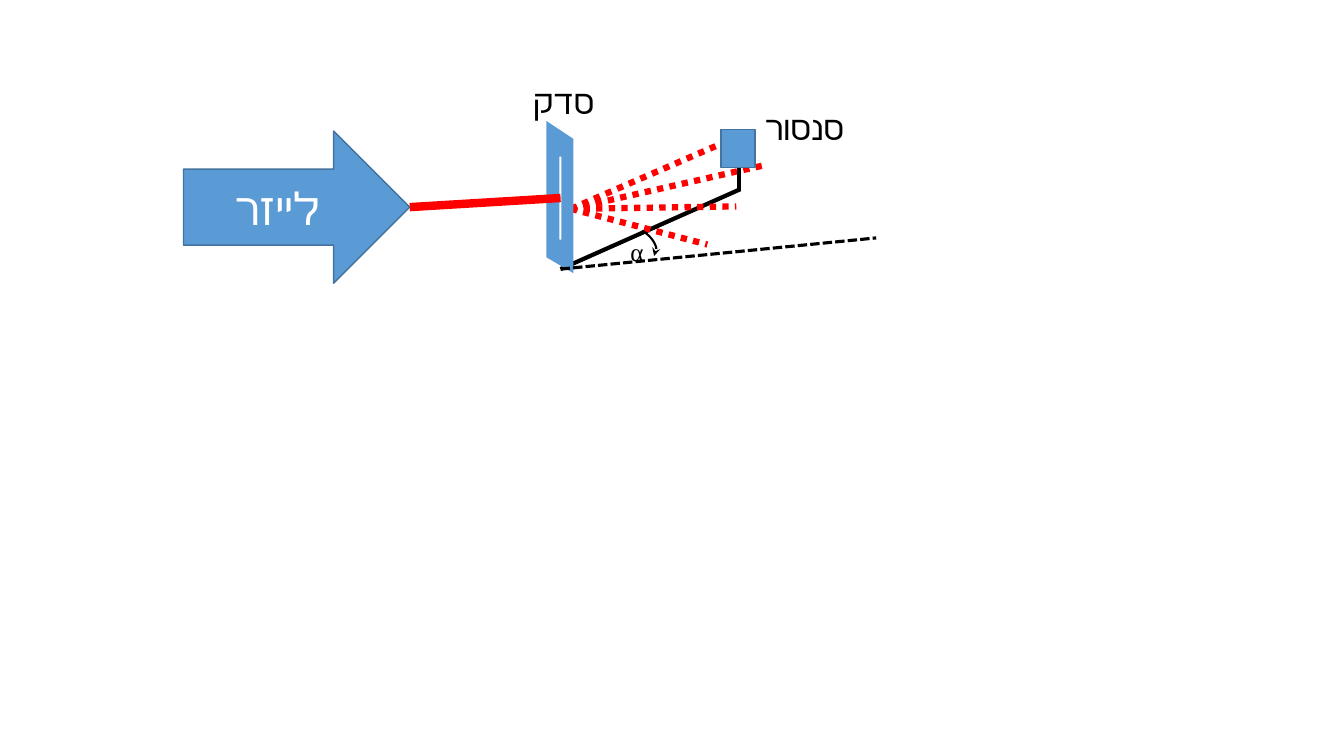
from dataclasses import dataclass
from lxml import etree
from pptx import Presentation, util as u
from pptx.dml.color import RGBColor
from pptx.enum import dml, shapes, text
from pptx.oxml.ns import qn

CELL = u.Inches(0.1)


@dataclass(frozen=True)
class Theme:
    """Colours, fonts and sizes of the slide."""
    blue: str = "5B9BD5"
    edge: str = "43739E"
    red: str = "FF0000"
    black: str = "000000"
    white: str = "FFFFFF"
    font: str = "Calibri"
    symbol_font: str = "Times New Roman"
    title: int = 32
    label: int = 24
    symbol: int = 18
    beam: float = 6
    ray: float = 4.5
    arm: float = 3
    axis: float = 2.25
    arc: float = 1.5
    outline: float = 1


T = Theme()


@dataclass(frozen=True)
class Box:
    """A region measured in columns and rows of the slide grid."""
    x: float
    y: float
    w: float
    h: float

    def pt(self, fx, fy):
        """Return the point at the given shares of the box."""
        return (u.Emu(round((self.x + fx * self.w) * CELL)),
                u.Emu(round((self.y + fy * self.h) * CELL)))

    def sub(self, fx, fy, fw, fh):
        """Return left, top, width and height of a part given in shares."""
        return (*self.pt(fx, fy), u.Emu(round(fw * self.w * CELL)),
                u.Emu(round(fh * self.h * CELL)))


def write(tf, words, size, font=T.font, color=T.black,
          align=text.PP_ALIGN.LEFT, anchor=text.MSO_ANCHOR.TOP):
    """Put one formatted run into a text frame."""
    tf.word_wrap = True
    tf.vertical_anchor = anchor
    p = tf.paragraphs[0]
    p.alignment = align
    r = p.add_run()
    r.text = words
    r.font.size, r.font.name = u.Pt(size), font
    r.font.color.rgb = RGBColor.from_string(color)
    etree.SubElement(r._r.get_or_add_rPr(), qn("a:cs")).set("typeface", font)


def label(s, area, words, size=T.label, font=T.font):
    """Add a text box."""
    write(s.shapes.add_textbox(*area).text_frame, words, size, font=font)


def stroke(line, color, width, dash=None):
    """Set colour, width and dash of a line."""
    line.color.rgb = RGBColor.from_string(color)
    line.width = u.Pt(width)
    if dash:
        line.dash_style = dash


def segment(s, start, end, color, width, dash=None):
    """Add a straight connector without a shadow."""
    c = s.shapes.add_connector(shapes.MSO_CONNECTOR.STRAIGHT, *start, *end)
    stroke(c.line, color, width, dash)
    etree.SubElement(c._element.spPr, qn("a:effectLst"))


def paint(sp):
    """Give a shape the flat blue fill."""
    sp.shadow.inherit = False
    sp.fill.solid()
    sp.fill.fore_color.rgb = RGBColor.from_string(T.blue)


def block(s, kind, area):
    """Add a blue outlined preset shape."""
    sp = s.shapes.add_shape(kind, *area)
    paint(sp)
    stroke(sp.line, T.edge, T.outline)
    return sp


def fan(s, box):
    """Draw the sensor arm and the diffracted rays above it."""
    segment(s, box.pt(0, 1), box.pt(0.87, 0.35), T.black, T.arm)
    for end in ((0.75, 0), (1, 0.15), (0.85, 0.49), (0.71, 0.8)):
        segment(s, box.pt(0.05, 0.51), box.pt(*end), T.red, T.ray,
                dml.MSO_LINE.ROUND_DOT)


def slit(s, box):
    """Draw the slanted plate with its opening and label."""
    plate = [(0.25, 0.23), (0.54, 0.32), (0.54, 1), (0.25, 0.92)]
    opening = [(0.39, 0.41), (0.39, 0.83), (0.41, 0.83), (0.41, 0.41)]
    outer, inner = ([box.pt(*c) for c in side] for side in (plate, opening))
    fb = s.shapes.build_freeform(*outer[0])
    fb.add_line_segments(outer[1:], close=True)
    fb.move_to(*inner[0])
    fb.add_line_segments(inner[1:], close=True)
    sp = fb.convert_to_shape()
    paint(sp)
    sp.line.fill.background()
    label(s, box.sub(0, 0, 1, 0.26), "סדק")


def laser(s, box):
    """Draw the laser arrow and its beam."""
    sp = block(s, shapes.MSO_SHAPE.RIGHT_ARROW, box.sub(0, 0, 0.6, 1))
    write(sp.text_frame, "לייזר", T.title, color=T.white,
          align=text.PP_ALIGN.CENTER, anchor=text.MSO_ANCHOR.MIDDLE)
    segment(s, box.pt(0.6, 0.5), box.pt(1, 0.44), T.red, T.beam)


def angle(s, box):
    """Draw the dashed axis and the marked angle."""
    sp = s.shapes.add_shape(shapes.MSO_SHAPE.ARC,
                            *box.sub(0.13, 0, 0.18, 0.72))
    sp.shadow.inherit = False
    sp.fill.background()
    sp.rotation = 26.8
    sp.adjustments[0], sp.adjustments[1] = 175.17, 2.79
    stroke(sp.line, T.black, T.arc)
    etree.SubElement(sp.line._get_or_add_ln(),
                     qn("a:tailEnd")).set("type", "stealth")
    segment(s, box.pt(0, 1), box.pt(1, 0.28), T.black, T.axis,
            dml.MSO_LINE.SQUARE_DOT)
    label(s, box.sub(0.19, 0.12, 0.08, 0.93), "α", T.symbol, T.symbol_font)


def sensor(s, box):
    """Draw the sensor on its post with its label."""
    segment(s, box.pt(0.13, 0.99), box.pt(0.13, 0.59), T.black, T.arm)
    block(s, shapes.MSO_SHAPE.RECTANGLE, box.sub(0, 0.31, 0.25, 0.43))
    label(s, box.sub(0.25, 0, 0.75, 0.57), "סנסור")


def main():
    """Build and save the slide."""
    prs = Presentation()
    prs.slide_width, prs.slide_height = u.Inches(13.33), u.Inches(7.5)
    s = prs.slides.add_slide(prs.slide_layouts[6])
    fan(s, Box(55.6, 14.5, 20.5, 12.2))
    slit(s, Box(51.9, 7.5, 9.2, 19.6))
    laser(s, Box(18.2, 13, 37.4, 15.1))
    angle(s, Box(55.6, 22.4, 31.3, 4.3))
    sensor(s, Box(71.5, 10.1, 13.6, 8.8))
    prs.save("out.pptx")


main()
